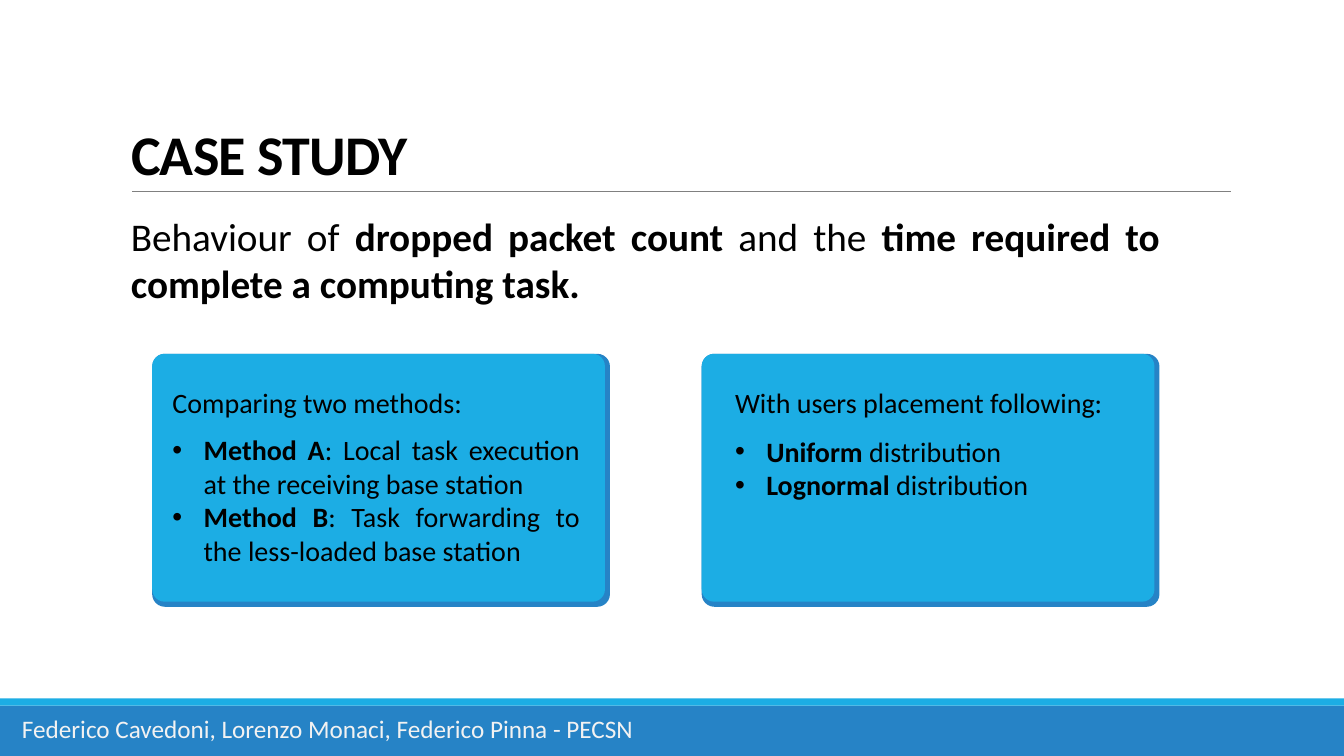
from dataclasses import dataclass

from lxml import etree
from pptx import Presentation
from pptx.dml.color import RGBColor
from pptx.enum.shapes import MSO_CONNECTOR, MSO_SHAPE
from pptx.enum.text import MSO_ANCHOR, MSO_AUTO_SIZE, PP_ALIGN
from pptx.oxml.ns import qn
from pptx.util import Emu, Pt

RECTANGLE = MSO_SHAPE.RECTANGLE
ROUNDED = MSO_SHAPE.ROUNDED_RECTANGLE
STRAIGHT = MSO_CONNECTOR.STRAIGHT
LEFT, JUSTIFY = PP_ALIGN.LEFT, PP_ALIGN.JUSTIFY
TOP, BOTTOM = MSO_ANCHOR.TOP, MSO_ANCHOR.BOTTOM
NO_AUTOFIT = MSO_AUTO_SIZE.NONE

EMU_PER_PX = 9144  # 100 px to the inch
TWO_CONTENT_LAYOUT = 3


@dataclass(frozen=True)
class Theme:
    font: str = "Calibri"
    ink: RGBColor = RGBColor(0x00, 0x00, 0x00)
    footer_ink: RGBColor = RGBColor(0xF2, 0xF2, 0xF2)
    rule: RGBColor = RGBColor(0x80, 0x80, 0x80)
    bright: RGBColor = RGBColor(0x1C, 0xAD, 0xE4)
    deep: RGBColor = RGBColor(0x26, 0x83, 0xC6)
    title_size: int = 40
    lead_size: int = 28
    card_size: int = 20
    footer_size: int = 18


@dataclass(frozen=True)
class Box:
    left: int
    top: int
    width: int
    height: int


@dataclass(frozen=True)
class Span:
    text: str
    bold: bool = False


@dataclass(frozen=True)
class Card:
    left: int
    text_box: Box
    heading: str
    heading_gap: int
    items: tuple[tuple[Span, ...], ...]


THEME = Theme()
CARD_TOP, CARD_WIDTH, CARD_HEIGHT, CARD_EDGE = 351, 454, 251, 5
CARD_RADIUS = 0.05
BULLET_INDENT = 31

LEAD = (
    Span("Behaviour of "),
    Span("dropped packet count", True),
    Span(" and the "),
    Span("time required to complete a computing task.", True),
)
CARDS = (
    Card(151, Box(161, 377, 424, 192), "Comparing two methods:", 10, (
        (Span("Method A", True),
         Span(": Local task execution at the receiving base station")),
        (Span("Method B", True),
         Span(": Task forwarding to the less-loaded base station")),
    )),
    Card(696, Box(719, 377, 424, 126), "With users placement following:", 11, (
        (Span("Uniform ", True), Span("distribution")),
        (Span("Lognormal ", True), Span("distribution")),
    )),
)


def px(length: int) -> Emu:
    return Emu(length * EMU_PER_PX)


def place(shape, box: Box) -> None:
    shape.left, shape.top = px(box.left), px(box.top)
    shape.width, shape.height = px(box.width), px(box.height)


def add_panel(slide, preset, box: Box, color: RGBColor):
    panel = slide.shapes.add_shape(
        preset, px(box.left), px(box.top), px(box.width), px(box.height))
    panel.shadow.inherit = False
    panel.fill.solid()
    panel.fill.fore_color.rgb = color
    panel.line.fill.background()
    return panel


def prepare_frame(shape, anchor):
    frame = shape.text_frame
    frame.word_wrap = True
    frame.auto_size = NO_AUTOFIT
    frame.vertical_anchor = anchor
    return frame


def set_bullet(paragraph, bulleted: bool) -> None:
    """Give the paragraph a hanging bullet, or clear the inherited one."""
    properties = paragraph._p.get_or_add_pPr()
    indent = px(BULLET_INDENT) if bulleted else 0
    properties.set("marL", str(indent))
    properties.set("indent", str(-indent))
    if bulleted:
        etree.SubElement(properties, qn("a:buFont")).set("typeface", "Arial")
        etree.SubElement(properties, qn("a:buChar")).set("char", "•")
    else:
        etree.SubElement(properties, qn("a:buNone"))


def write(paragraph, spans: tuple[Span, ...], size: int, color: RGBColor,
          align=JUSTIFY, gap: int = 0, bulleted: bool = False) -> None:
    set_bullet(paragraph, bulleted)
    paragraph.alignment = align
    paragraph.space_before = Pt(gap)
    paragraph.font.name = THEME.font
    paragraph.font.size = Pt(size)
    paragraph.font.color.rgb = color
    for span in spans:
        run = paragraph.add_run()
        run.text = span.text
        if span.bold:
            run.font.bold = True


def add_text(slide, box: Box, spans: tuple[Span, ...], size: int,
             color: RGBColor, align) -> None:
    caption = slide.shapes.add_textbox(0, 0, 0, 0)
    place(caption, box)
    write(prepare_frame(caption, TOP).paragraphs[0], spans, size, color, align)


def add_title_rule(slide) -> None:
    rule = slide.shapes.add_connector(
        STRAIGHT, px(131), px(190), px(1221), px(190))
    rule.line.color.rgb = THEME.rule
    rule.line.width = Pt(0.5)
    etree.SubElement(rule._element.spPr, qn("a:effectLst"))


def fill_title(title) -> None:
    place(title, Box(120, 31, 1100, 159))
    heading = prepare_frame(title, BOTTOM).paragraphs[0]
    write(heading, (Span("CASE STUDY", True),),
          THEME.title_size, THEME.ink, LEFT)
    heading.line_spacing = 0.85
    heading.runs[0].font._element.set("spc", "-50")


def add_card(slide, card: Card, body) -> None:
    for edge, color in ((0, THEME.deep), (CARD_EDGE, THEME.bright)):
        box = Box(card.left, CARD_TOP, CARD_WIDTH - edge, CARD_HEIGHT - edge)
        add_panel(slide, ROUNDED, box, color).adjustments[0] = CARD_RADIUS

    # Bring the list in front of its panels.
    body.element.getparent().append(body.element)
    place(body, card.text_box)
    frame = prepare_frame(body, TOP)
    write(frame.paragraphs[0], (Span(card.heading),),
          THEME.card_size, THEME.ink)
    for index, item in enumerate(card.items):
        write(frame.add_paragraph(), item, THEME.card_size, THEME.ink,
              gap=0 if index else card.heading_gap, bulleted=True)


def main() -> None:
    deck = Presentation()
    deck.slide_width, deck.slide_height = px(1333), px(750)
    slide = deck.slides.add_slide(deck.slide_layouts[TWO_CONTENT_LAYOUT])
    title, *bodies = slide.placeholders

    add_panel(slide, RECTANGLE, Box(0, 700, 1333, 50), THEME.deep)
    add_panel(slide, RECTANGLE, Box(0, 693, 1333, 7), THEME.bright)
    add_title_rule(slide)
    fill_title(title)
    authors = Span("Federico Cavedoni, Lorenzo Monaci, Federico Pinna - PECSN")
    add_text(slide, Box(12, 703, 667, 40), (authors,),
             THEME.footer_size, THEME.footer_ink, LEFT)
    add_text(slide, Box(120, 206, 1040, 104), LEAD,
             THEME.lead_size, THEME.ink, JUSTIFY)
    for card, body in zip(CARDS, bodies):
        add_card(slide, card, body)
    deck.save("out.pptx")


if __name__ == "__main__":
    main()
